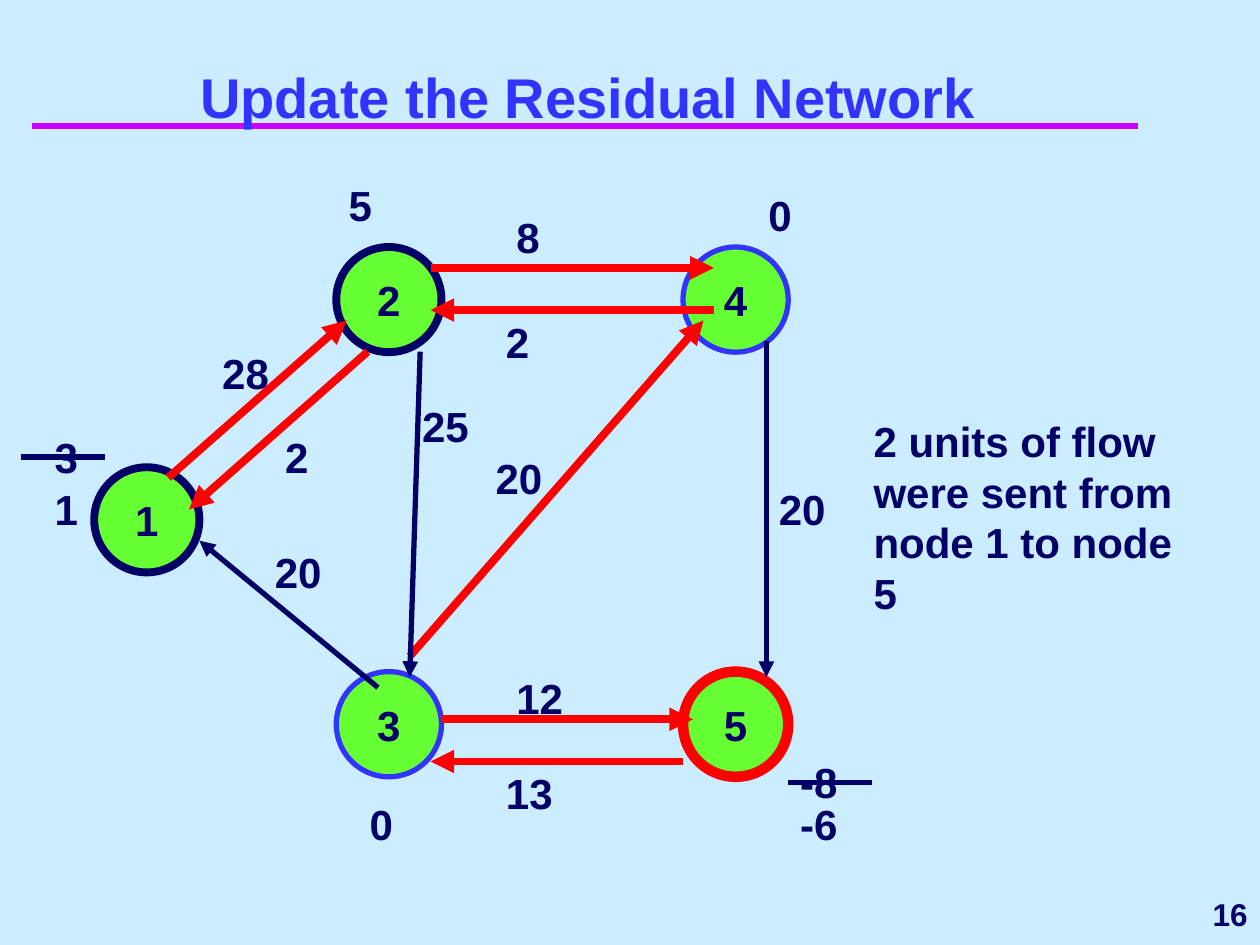
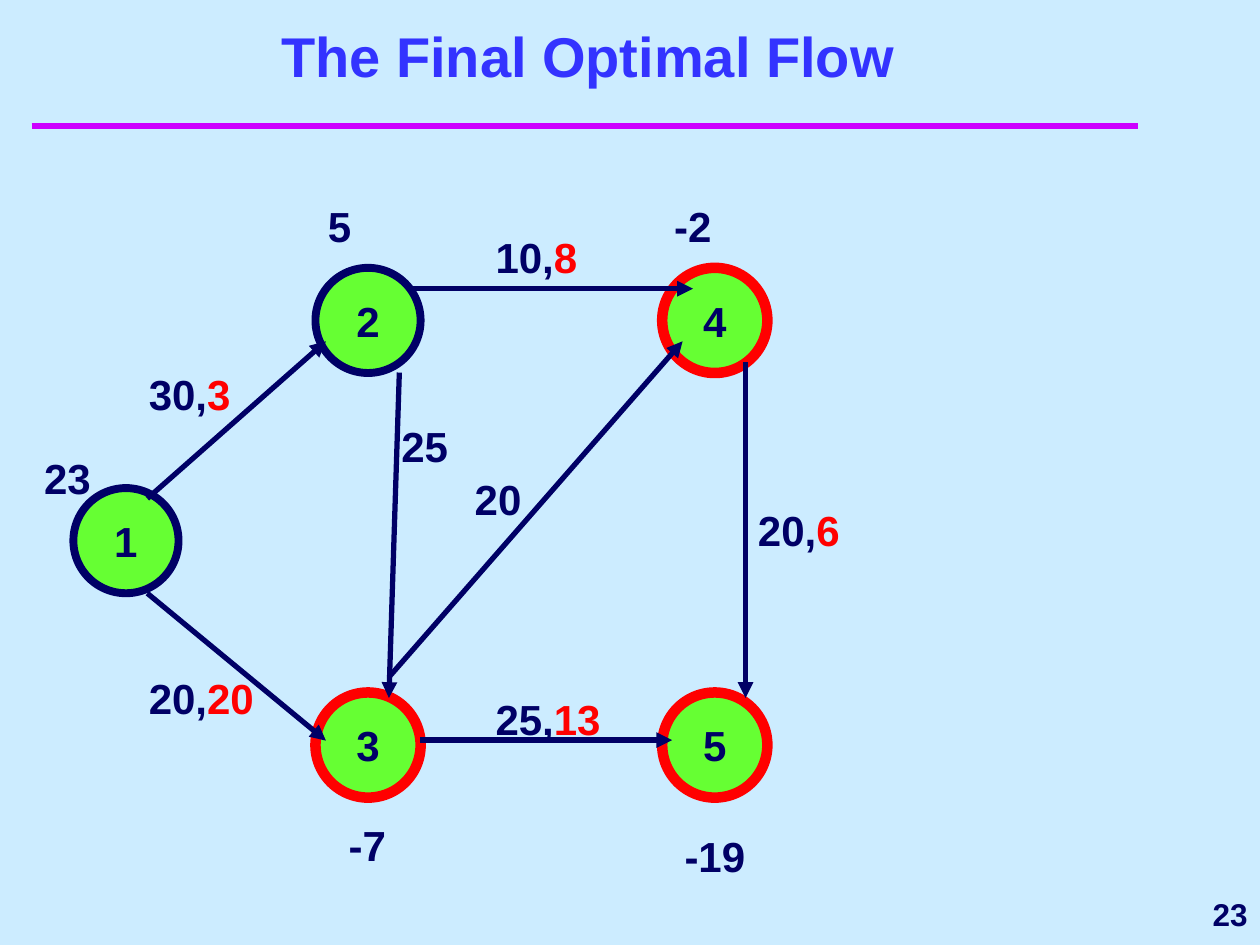
"""Build two slides on updating a residual network and its final optimal flow."""
from lxml import etree
from pptx import Presentation
from pptx.dml.color import RGBColor
from pptx.enum.shapes import MSO_CONNECTOR, MSO_SHAPE
from pptx.enum.text import MSO_ANCHOR, MSO_AUTO_SIZE, PP_ALIGN
from pptx.oxml.ns import qn
from pptx.util import Cm, Pt

STRAIGHT, OVAL = MSO_CONNECTOR.STRAIGHT, MSO_SHAPE.OVAL
TOP, MIDDLE, BOTTOM = MSO_ANCHOR.TOP, MSO_ANCHOR.MIDDLE, MSO_ANCHOR.BOTTOM
LEFT, CENTER, RIGHT = PP_ALIGN.LEFT, PP_ALIGN.CENTER, PP_ALIGN.RIGHT
FIXED, GROW = MSO_AUTO_SIZE.NONE, MSO_AUTO_SIZE.SHAPE_TO_FIT_TEXT

SKY, NAVY, BLUE, RED, GREEN, PURPLE = (
    "CCECFF", "000066", "3333FF", "FF0000", "66FF33", "CC00FF")
NODE_SIZE = 2.12
EDGE_LABEL, NODE_LABEL = 2.97, 1.9
SUPPLY, BALANCED, DEMAND = (NAVY, 4.5), (BLUE, 3), (RED, 6)

NODES = {"1": (1.9, 9.42), "2": (6.78, 4.98), "3": (6.78, 13.54),
         "5": (13.77, 13.54), "4": (13.77, 4.98)}
ARCS = {
    "1-2": (3.39, 9.63, 6.99, 6.46),
    "2-4": (8.68, 5.4, 14.39, 5.4),
    "4-5": (15.45, 6.88, 15.45, 13.65),
    "3-4": (8.26, 13.23, 14.18, 6.46),
    "1-3": (3.39, 11.54, 6.99, 14.51),
    "3-5": (8.89, 14.5, 13.97, 14.5),
    "2-3": (8.47, 7.09, 8.26, 13.65),
    "3-1": (7.62, 13.86, 4.02, 10.9),
    "5-3": (13.76, 15.35, 8.68, 15.35),
    "2-1": (7.41, 7.09, 3.81, 10.27),
    "4-2": (14.39, 6.25, 8.68, 6.25),
}
ARC_LABELS = {"2-4": (10.16, 4.13), "4-5": (15.45, 9.63), "3-4": (9.74, 9),
              "3-5": (10.16, 13.44), "2-3": (8.26, 7.94)}

RESIDUAL = {
    "title": "Update the Residual Network", "title_top": 1.69, "page": "16",
    "shift": 0,
    "nodes": {"1": SUPPLY, "2": SUPPLY, "3": BALANCED, "5": DEMAND,
              "4": BALANCED},
    "arcs": ["1-2", "2-4", "4-5", "3-4", "3-5", "2-3", "3-1", "5-3", "2-1",
             "4-2"],
    "changed": {"1-2", "2-4", "3-4", "3-5", "5-3", "2-1", "4-2"},
    "arc_labels": {"2-4": ("8",), "4-5": ("20",), "3-4": ("20",),
                   "3-5": ("12",), "2-3": ("25",), "1-2": ("28",),
                   "3-1": ("20",), "5-3": ("13",), "2-1": ("2",),
                   "4-2": ("2",)},
    "own_places": {"1-2": (4.23, 6.88), "3-1": (5.29, 10.9),
                   "5-3": (9.95, 15.35), "2-1": (5.5, 8.57),
                   "4-2": (9.95, 6.25)},
    "supplies": [("5", 6.78, 3.49), ("0", 7.2, 15.98), ("0", 15.24, 3.7),
                 ("1", 0.85, 9.63), ("-8", 15.88, 15.13),
                 ("3", 0.85, 8.57), ("-6", 15.88, 15.98)],
}
OPTIMAL = {
    "title": "The Final Optimal Flow", "title_top": 0.85, "page": "23",
    "shift": 0.42,
    "nodes": {"1": SUPPLY, "2": SUPPLY, "3": DEMAND, "5": DEMAND,
              "4": DEMAND},
    "arcs": ["1-2", "2-4", "4-5", "3-4", "1-3", "3-5", "2-3"],
    "changed": set(),
    "arc_labels": {"2-4": ("10,", "8"), "4-5": ("20,", "6"), "3-4": ("20",),
                   "3-5": ("25,", "13"), "2-3": ("25",),
                   "1-3": ("20,", "20"), "1-2": ("30,", "3")},
    "own_places": {"1-3": (3.17, 13.02), "1-2": (3.17, 6.88)},
    "supplies": [("23", 1.06, 8.57), ("5", 6.78, 3.49), ("-2", 13.76, 3.49),
                 ("-7", 7.2, 15.98), ("-19", 13.97, 16.19)],
}


def rgb(hex_colour):
    """Turn a hex string into a colour."""
    return RGBColor.from_string(hex_colour)


class Deck:
    """Hold the style, the presentation and the current slide."""

    def __init__(self):
        """Set the slide size and the background."""
        self.prs = Presentation()
        self.prs.slide_width, self.prs.slide_height = Cm(25.4), Cm(19.05)
        background = self.prs.slide_master.background.fill
        background.solid()
        background.fore_color.rgb = rgb(SKY)
        self.slide = None
        self.shift = 0

    def start(self, title, top, shift):
        """Add a slide with its title and set the shift of its network."""
        self.slide = self.prs.slides.add_slide(self.prs.slide_layouts[5])
        self.shift = shift
        heading = self.slide.shapes.title
        place = {"left": Cm(1.06), "top": Cm(top), "width": Cm(21.59),
                 "height": Cm(1.06)}
        for name, value in place.items():
            setattr(heading, name, value)
        self.set_text(heading, [title], 32, CENTER, BOTTOM, FIXED, colour=BLUE)

    def set_text(self, shape, parts, size=24, align=LEFT, anchor=TOP,
                 fit=GROW, wrap=True, colour=NAVY):
        """Set a paragraph whose second part, if any, is red."""
        frame = shape.text_frame
        layout = {"word_wrap": wrap, "auto_size": fit,
                  "vertical_anchor": anchor}
        for name, value in layout.items():
            setattr(frame, name, value)
        paragraph = frame.paragraphs[0]
        paragraph.alignment = align
        for part, part_colour in zip(parts, (colour, RED)):
            run = paragraph.add_run()
            run.text = part
            font = {"name": "Arial", "size": Pt(size), "bold": True}
            for name, value in font.items():
                setattr(run.font, name, value)
            run.font.color.rgb = rgb(part_colour)

    def label(self, parts, x, y, width=NODE_LABEL, height=1.27, **style):
        """Add a text box."""
        box = self.slide.shapes.add_textbox(
            Cm(x - self.shift), Cm(y + self.shift), Cm(width), Cm(height))
        self.set_text(box, parts, **style)

    def node(self, number, colour, weight):
        """Add a numbered node of the network."""
        x, y = NODES[number]
        disc = self.slide.shapes.add_shape(
            OVAL, Cm(x - self.shift), Cm(y + self.shift),
            Cm(NODE_SIZE), Cm(NODE_SIZE))
        disc.shadow.inherit = False
        disc.fill.solid()
        disc.fill.fore_color.rgb = rgb(GREEN)
        disc.line.color.rgb = rgb(colour)
        disc.line.width = Pt(weight)
        self.set_text(disc, [number], align=CENTER, anchor=MIDDLE, fit=FIXED,
                      wrap=False)

    def line(self, ends, colour=NAVY, weight=3, arrow=False):
        """Add a straight line or arrow and return it."""
        x1, y1, x2, y2 = ends
        stroke = self.slide.shapes.add_connector(
            STRAIGHT, Cm(x1 - self.shift), Cm(y1 + self.shift),
            Cm(x2 - self.shift), Cm(y2 + self.shift))
        stroke.line.color.rgb = rgb(colour)
        stroke.line.width = Pt(weight)
        properties = stroke.element.spPr
        if arrow:
            outline = properties.find(qn("a:ln"))
            etree.SubElement(outline, qn("a:tailEnd"), type="triangle")
        etree.SubElement(properties, qn("a:effectLst"))
        return stroke

    def title_rule(self):
        """Draw the rule under the titles and keep it on the master."""
        rule = self.line((0.64, 2.54, 22.94, 2.54), PURPLE, 4)
        self.prs.slide_master.shapes.element.append(rule.element)

    def page_number(self, number):
        """Put the page number in the lower right corner."""
        self.shift = 0
        self.label([number], 20.53, 17.78, 4.87, size=18, align=RIGHT,
                   anchor=MIDDLE, fit=FIXED)

    def network(self, content):
        """Draw a whole slide with its nodes, arcs and labels."""
        self.start(content["title"], content["title_top"], content["shift"])
        for number, outline in content["nodes"].items():
            self.node(number, *outline)
        for arc in content["arcs"]:
            stroke = (RED, 4.5) if arc in content["changed"] else (NAVY, 3)
            self.line(ARCS[arc], *stroke, arrow=True)
        places = ARC_LABELS | content["own_places"]
        for arc, parts in content["arc_labels"].items():
            self.label(parts, *places[arc], EDGE_LABEL)
        for supply, x, y in content["supplies"]:
            self.label([supply], x, y)


def main():
    """Build both slides and save them."""
    deck = Deck()
    deck.network(RESIDUAL)
    deck.title_rule()
    for struck_supply in ((0.42, 9.21, 2.12, 9.21),
                          (15.88, 15.77, 17.57, 15.77)):
        deck.line(struck_supply)
    deck.label(["2 units of flow were sent from node 1 to node 5"],
               17.36, 8.26, 6.99, 4.32)
    deck.page_number(RESIDUAL["page"])
    deck.network(OPTIMAL)
    deck.page_number(OPTIMAL["page"])
    deck.prs.save("out.pptx")


if __name__ == "__main__":
    main()
